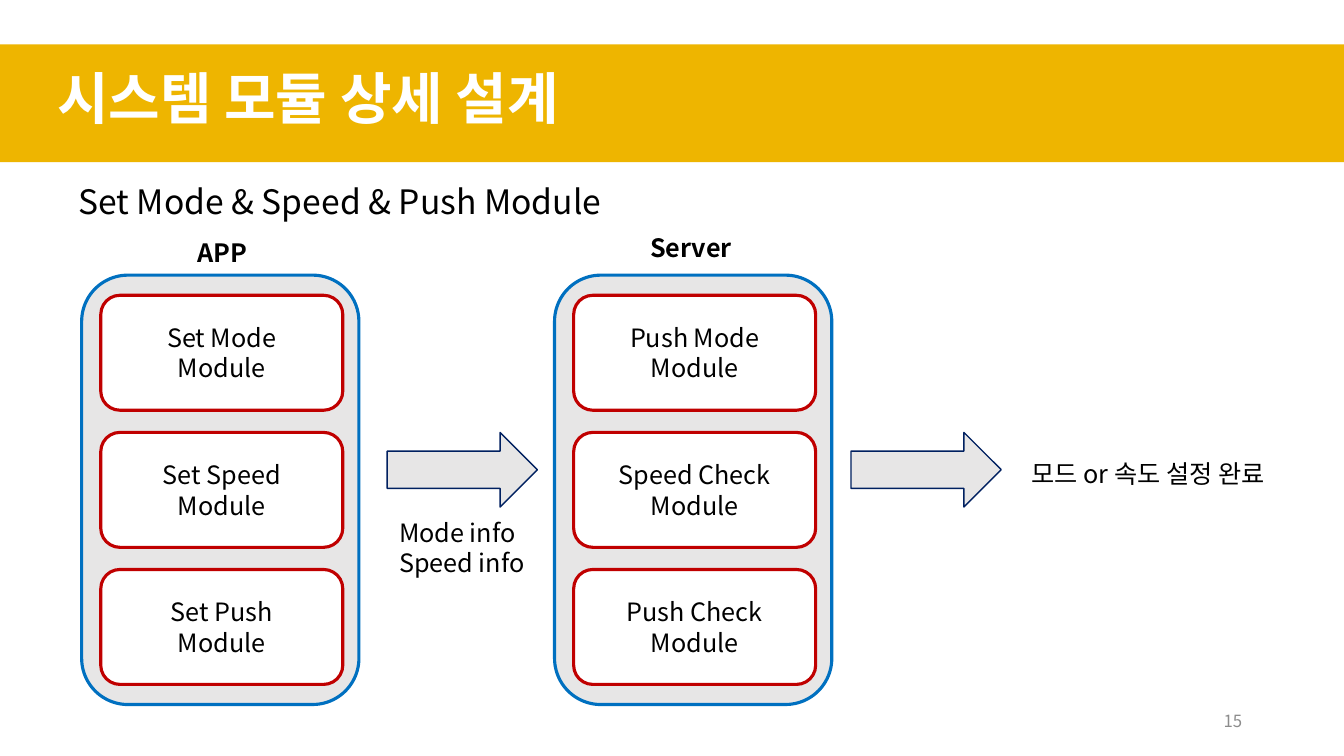
from lxml import etree
from pptx import Presentation
from pptx.dml.color import RGBColor
from pptx.enum.shapes import MSO_SHAPE
from pptx.enum.text import MSO_ANCHOR, PP_ALIGN
from pptx.oxml.ns import qn
from pptx.util import Pt

PX = 9144  # 100 px to the inch
FONT = "Noto Sans CJK KR"
COLORS = {
    "banner": "EEB500", "white": "FFFFFF", "black": "000000",
    "panel": "E7E6E6", "panel_line": "0070C0", "module_line": "C00000",
    "arrow_line": "002060", "number": "8C8C8C",
}
RECT = MSO_SHAPE.RECTANGLE
ROUND = MSO_SHAPE.ROUNDED_RECTANGLE
ARROW = MSO_SHAPE.RIGHT_ARROW
LEFT, CENTER, RIGHT = PP_ALIGN.LEFT, PP_ALIGN.CENTER, PP_ALIGN.RIGHT
TOP, MIDDLE = MSO_ANCHOR.TOP, MSO_ANCHOR.MIDDLE

MODULE_W, MODULE_H, MODULE_STEP = 240, 114, 136


def rgb(name):
    return RGBColor.from_string(COLORS[name])


def emu(*lengths):
    return [n * PX for n in lengths]


def write(s, text, size, color="black", bold=False, align=LEFT, anchor=TOP):
    tf = s.text_frame
    tf.text = text
    tf.word_wrap = True
    tf.vertical_anchor = anchor
    for p in tf.paragraphs:
        p.alignment = align
        for r in p.runs:
            r.font.name = FONT
            r.font.size = Pt(size)
            r.font.bold = bold
            r.font.color.rgb = rgb(color)
            # Korean glyphs take the East Asian typeface
            etree.SubElement(r.font._element, qn("a:ea"), typeface=FONT)


def add_label(slide, box, text, size=18, **style):
    s = slide.shapes.add_textbox(*emu(*box))
    write(s, text, size, **style)


def add_box(slide, kind, box, fill, line=None, width=2.25):
    s = slide.shapes.add_shape(kind, *emu(*box))
    s.shadow.inherit = False
    s.fill.solid()
    s.fill.fore_color.rgb = rgb(fill)
    if line:
        s.line.color.rgb = rgb(line)
        s.line.width = Pt(width)
    else:
        s.line.fill.background()
    return s


def add_panel(slide, left, modules):
    add_box(slide, ROUND, (left, 273, 275, 426), "panel", "panel_line")
    for i, name in enumerate(modules):
        box = (left + 19, 293 + i * MODULE_STEP, MODULE_W, MODULE_H)
        s = add_box(slide, ROUND, box, "white", "module_line")
        write(s, f"{name}\nModule", 18, align=CENTER, anchor=MIDDLE)


def main():
    prs = Presentation()
    prs.slide_width, prs.slide_height = emu(1333, 750)
    slide = prs.slides.add_slide(prs.slide_layouts[6])

    # Title banner and subtitle
    add_box(slide, RECT, (0, 44, 1333, 117), "banner")
    add_label(slide, (47, 58, 1286, 77), "시스템 모듈 상세 설계", 40,
              color="white", bold=True)
    add_label(slide, (68, 175, 591, 50), "Set Mode & Speed & Push Module", 24)

    # App and server panels
    add_label(slide, (186, 230, 86, 41), "APP", bold=True)
    add_panel(slide, 81, ["Set Mode", "Set Speed", "Set Push"])
    add_label(slide, (635, 226, 103, 40), "Server", bold=True)
    add_panel(slide, 550, ["Push Mode", "Speed Check", "Push Check"])

    # Flow between panels and to the result
    for left in (384, 844):
        add_box(slide, ARROW, (left, 429, 149, 74), "panel", "arrow_line", 1)
    add_label(slide, (386, 508, 146, 71), "Mode info\nSpeed info")
    add_label(slide, (1013, 450, 285, 40), "모드 or 속도 설정 완료")

    # Page number
    add_label(slide, (942, 695, 300, 40), "15", 12, color="number",
              align=RIGHT, anchor=MIDDLE)

    prs.save("out.pptx")


if __name__ == "__main__":
    main()
